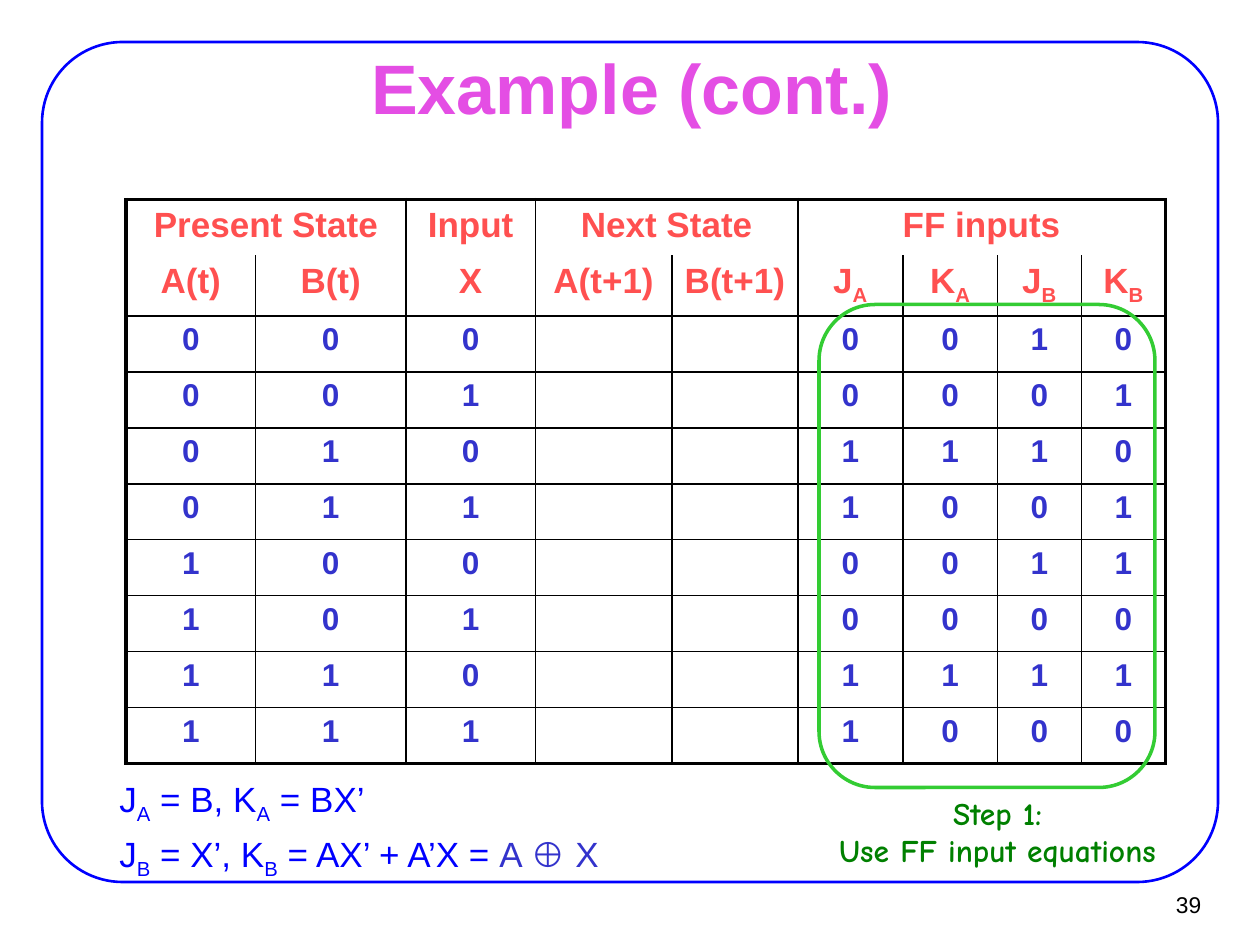
from itertools import product
from lxml.etree import SubElement as Sub
from pptx import Presentation
from pptx.dml.color import RGBColor
from pptx.enum.shapes import MSO_SHAPE as Kind
from pptx.enum.text import MSO_ANCHOR as Anchor, PP_ALIGN as Align
from pptx.oxml.ns import qn
from pptx.util import Pt

WIDTHS = [74, 86, 74, 78, 72, 60, 54, 48, 48]
ROW = 32
GROUPS = [("Present State", 0, 2), ("Input", 2, 1),
          ("Next State", 3, 2), ("FF inputs", 5, 4)]
HEADS = ["A(t)", "B(t)", "X", "A(t+1)", "B(t+1)", "J_A", "K_A", "J_B", "K_B"]
BLUE, INDIGO, CORAL = "0000FF", "3333CC", "FF5050"


def tint(code):
    return RGBColor.from_string(code)


def write(para, text, size=20, hue=BLUE, font="Arial", bold=False,
          align=Align.LEFT, before=0):
    para.alignment = align
    para.space_before = Pt(before)
    first, *rest = text.split("_")
    parts = [(first, False)]
    for part in rest:
        parts += [(part[0], True), (part[1:], False)]
    for word, low in parts:
        if not word:
            continue
        run = para.add_run()
        run.text = word
        run.font.size, run.font.name, run.font.bold = Pt(size), font, bold
        run.font.color.rgb = tint(hue)
        if low:
            run.font._element.set("baseline", "-25000")


def add_box(slide, spot, anchor=Anchor.TOP, left=7.2):
    frame = slide.shapes.add_textbox(*map(Pt, spot)).text_frame
    frame.word_wrap = True
    frame.vertical_anchor = anchor
    frame.margin_left = Pt(left)
    return frame


def add_ring(slide, spot, bend, hue, width):
    ring = slide.shapes.add_shape(Kind.ROUNDED_RECTANGLE, *map(Pt, spot))
    ring.adjustments[0] = bend
    ring.shadow.inherit = False
    ring.fill.background()
    ring.line.color.rgb = tint(hue)
    ring.line.width = Pt(width)


def add_edges(cell, sides):
    props = cell._tc.get_or_add_tcPr()
    for side, width in zip("LRTB", sides):
        edge = Sub(props, qn(f"a:ln{side}"), w=str(Pt(width)))
        if width:
            fill = Sub(edge, qn("a:solidFill"))
            Sub(fill, qn("a:srgbClr"), val="000000")
        else:
            Sub(edge, qn("a:noFill"))


def list_states():
    for a, b, x in product((0, 1), repeat=3):
        yield [a, b, x, "", "", b, b & (1 - x), 1 - x, a ^ x]


def add_grid(slide):
    rows = [HEADS, *list_states()]
    last, end = len(rows), len(WIDTHS) - 1
    grid = slide.shapes.add_table(last + 1, end + 1, Pt(72), Pt(114),
                                  Pt(sum(WIDTHS)), Pt(ROW * (last + 1))).table
    grid.first_row = grid.horz_banding = False
    for col, width in zip(grid.columns, WIDTHS):
        col.width = Pt(width)
    for row in grid.rows:
        row.height = Pt(ROW)

    spans = {}
    for name, start, count in GROUPS:
        head = grid.cell(0, start)
        spans[start] = start + count - 1
        if count > 1:
            head.merge(grid.cell(0, spans[start]))
        write(head.text_frame.paragraphs[0], name, hue=CORAL,
              bold=True, align=Align.CENTER)
    for r, row in enumerate(rows, 1):
        size, hue = (20, CORAL) if r == 1 else (18, INDIGO)
        for c, value in enumerate(row):
            write(grid.cell(r, c).text_frame.paragraphs[0], str(value),
                  size=size, hue=hue, bold=True, align=Align.CENTER)

    for r, c in product(range(last + 1), range(end + 1)):
        cell = grid.cell(r, c)
        stop = spans.get(c, c) if r == 0 else c
        add_edges(cell, (2.25 if c == 0 else 1,
                         2.25 if stop == end else 1,
                         {0: 2.25, 1: 0}.get(r, 1),
                         {0: 0, last: 2.25}.get(r, 1)))
        cell.fill.background()


def main():
    deck = Presentation()
    deck.slide_width, deck.slide_height = Pt(720), Pt(540)
    slide = deck.slides.add_slide(deck.slide_layouts[6])

    add_ring(slide, (24, 24, 672, 480), 0.096, BLUE, 1.5)
    page = add_box(slide, (649.5, 503.5, 44, 26.5), anchor=Anchor.MIDDLE)
    write(page.paragraphs[0], "39", size=13, hue="000000", align=Align.RIGHT)
    title = add_box(slide, (55, 32, 612, 35), anchor=Anchor.MIDDLE)
    write(title.paragraphs[0], "Example (cont.)", size=40, hue="E44EE4",
          bold=True, align=Align.CENTER)

    add_grid(slide)
    add_ring(slide, (468, 174, 192, 276), 0.167, "33CC33", 2)

    step = add_box(slide, (456, 450, 228, 50.5))
    lines = ["Step 1:", "Use FF input equations"]
    for i, line in enumerate(lines):
        para = step.add_paragraph() if i else step.paragraphs[0]
        write(para, line, size=18, hue="008000", font="Comic Neue",
              bold=True, align=Align.CENTER)

    rules = add_box(slide, (25, 441, 448, 60.5), left=43.2)
    write(rules.paragraphs[0], "J_A = B, K_A = BX’", before=4)
    para = rules.add_paragraph()
    write(para, "J_B = X’, K_B = AX’ + A’X = ", before=4)
    write(para, "A ⊕ X", hue=INDIGO, before=4)

    deck.save("out.pptx")


if __name__ == "__main__":
    main()
